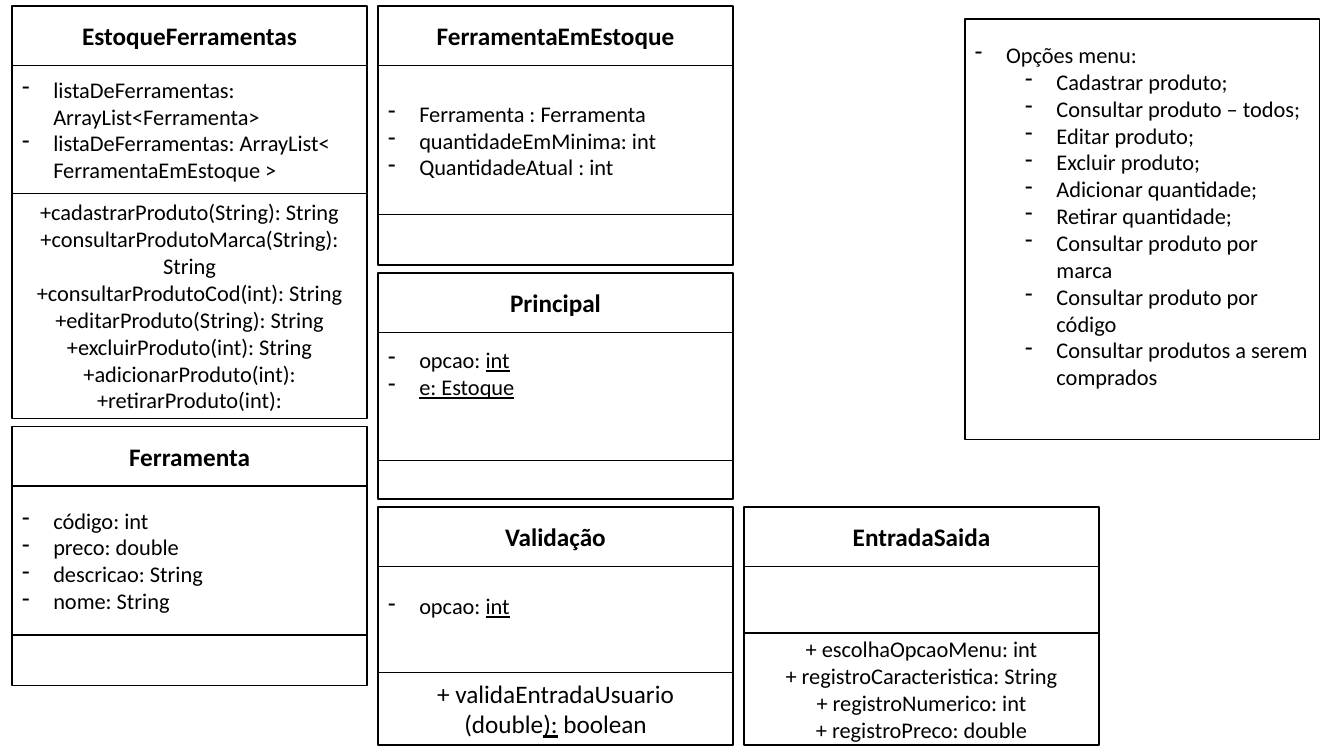
from lxml import etree
from pptx import Presentation
from pptx.dml.color import RGBColor
from pptx.enum.shapes import MSO_SHAPE
from pptx.enum.text import MSO_ANCHOR, PP_ALIGN
from pptx.oxml.ns import qn
from pptx.util import Inches, Pt

RECTANGLE = MSO_SHAPE.RECTANGLE
MIDDLE = MSO_ANCHOR.MIDDLE
LEFT, CENTER = PP_ALIGN.LEFT, PP_ALIGN.CENTER
BLACK = RGBColor(0x00, 0x00, 0x00)
WHITE = RGBColor(0xFF, 0xFF, 0xFF)

BOX_WIDTH = 3.52
COLUMN_LEFT, COLUMN_STEP = 0.12, 3.63
NAME_HEIGHT = 0.59
CLASS_GAP = 0.08
INDENT, LEVEL_STEP = 0.31, 0.5

# Each column: top edge, then its classes from top to bottom.
# "|" switches underlining on and off.
COLUMNS = [
    (0.06, [
        {"name": "EstoqueFerramentas", "heights": (1.27, 2.23),
         "attributes": ["listaDeFerramentas: ArrayList<Ferramenta>",
                        "listaDeFerramentas: ArrayList< FerramentaEmEstoque >"],
         "methods": ["+cadastrarProduto(String): String",
                     "+consultarProdutoMarca(String): String",
                     "+consultarProdutoCod(int): String",
                     "+editarProduto(String): String",
                     "+excluirProduto(int): String",
                     "+adicionarProduto(int):",
                     "+retirarProduto(int):"]},
        {"name": "Ferramenta", "heights": (1.48, 0.5),
         "attributes": ["código: int", "preco: double",
                        "descricao: String", "nome: String"]},
    ]),
    (0.06, [
        {"name": "FerramentaEmEstoque", "heights": (1.48, 0.5),
         "attributes": ["Ferramenta : Ferramenta", "quantidadeEmMinima: int",
                        "QuantidadeAtual : int"]},
        {"name": "Principal", "heights": (1.27, 0.38), "bottom": 0.52,
         "attributes": ["opcao: |int", "|e: Estoque"]},
        {"name": "Validação", "heights": (1.05, 0.72), "bottom": 0.32,
         "attributes": ["opcao: |int"], "method_size": 18,
         "methods": ["+ validaEntradaUsuario (double|):| boolean"]},
    ]),
    (5.03, [
        {"name": "EntradaSaida", "heights": (0.66, 1.11),
         "methods": ["+ escolhaOpcaoMenu: int",
                     "+ registroCaracteristica: String",
                     "+ registroNumerico: int",
                     "+ registroPreco: double"]},
    ]),
]

MENU_TITLE = "Opções menu:"
MENU_OPTIONS = [
    "Cadastrar produto;", "Consultar produto – todos;", "Editar produto;",
    "Excluir produto;", "Adicionar quantidade;", "Retirar quantidade;",
    "Consultar produto por marca", "Consultar produto por código",
    "Consultar produtos a serem comprados",
]


def add_box(page, left, top, height, bottom=0.05):
    """Add an outlined white box and return its text frame."""
    box = page.shapes.add_shape(RECTANGLE, Inches(left), Inches(top),
                                Inches(BOX_WIDTH), Inches(height))
    box.shadow.inherit = False
    box.fill.solid()
    box.fill.fore_color.rgb = WHITE
    box.line.color.rgb = BLACK
    box.line.width = Pt(1)
    frame = box.text_frame
    frame.word_wrap = True
    frame.vertical_anchor = MIDDLE
    frame.margin_bottom = Inches(bottom)
    return frame


def add_dash(para, level):
    properties = para._p.get_or_add_pPr()
    properties.set("marL", str(Inches(INDENT + level * LEVEL_STEP)))
    properties.set("indent", str(-Inches(INDENT)))
    etree.SubElement(properties, qn("a:buChar")).set("char", "-")


def write_lines(frame, lines, size=16, bold=False, dashed=False):
    """Write (level, text) pairs as dashed items or centred lines."""
    for index, (level, text) in enumerate(lines):
        para = frame.add_paragraph() if index else frame.paragraphs[0]
        para.level = level
        para.alignment = LEFT if dashed else CENTER
        if dashed:
            add_dash(para, level)
        for part, words in enumerate(text.split("|")):
            if not words:
                continue
            span = para.add_run()
            span.text = words
            span.font.color.rgb = BLACK
            formats = {"name": "Calibri", "size": Pt(size), "bold": bold,
                       "underline": part % 2 == 1}
            for key, value in formats.items():
                setattr(span.font, key, value)


def top_level(texts):
    return [(0, text) for text in texts]


def add_class(page, left, top, entry):
    """Stack name, attributes and methods; return the bottom edge."""
    attribute_height, method_height = entry["heights"]
    attribute_top = top + NAME_HEIGHT
    method_top = attribute_top + attribute_height
    write_lines(add_box(page, left, top, NAME_HEIGHT),
                top_level([entry["name"]]), size=18, bold=True)
    write_lines(add_box(page, left, attribute_top, attribute_height,
                        entry.get("bottom", 0.05)),
                top_level(entry.get("attributes", [])), dashed=True)
    write_lines(add_box(page, left, method_top, method_height),
                top_level(entry.get("methods", [])),
                size=entry.get("method_size", 16))
    return method_top + method_height


def main():
    deck = Presentation()
    deck.slide_width, deck.slide_height = Inches(13.33), Inches(7.5)
    page = deck.slides.add_slide(deck.slide_layouts[6])
    for column, (top, classes) in enumerate(COLUMNS):
        for entry in classes:
            left = COLUMN_LEFT + column * COLUMN_STEP
            top = add_class(page, left, top, entry) + CLASS_GAP
    menu = add_box(page, 9.57, 0.19, 4.17, bottom=0.32)
    options = [(1, option) for option in MENU_OPTIONS]
    write_lines(menu, [(0, MENU_TITLE)] + options, dashed=True)
    deck.save("out.pptx")


if __name__ == "__main__":
    main()
